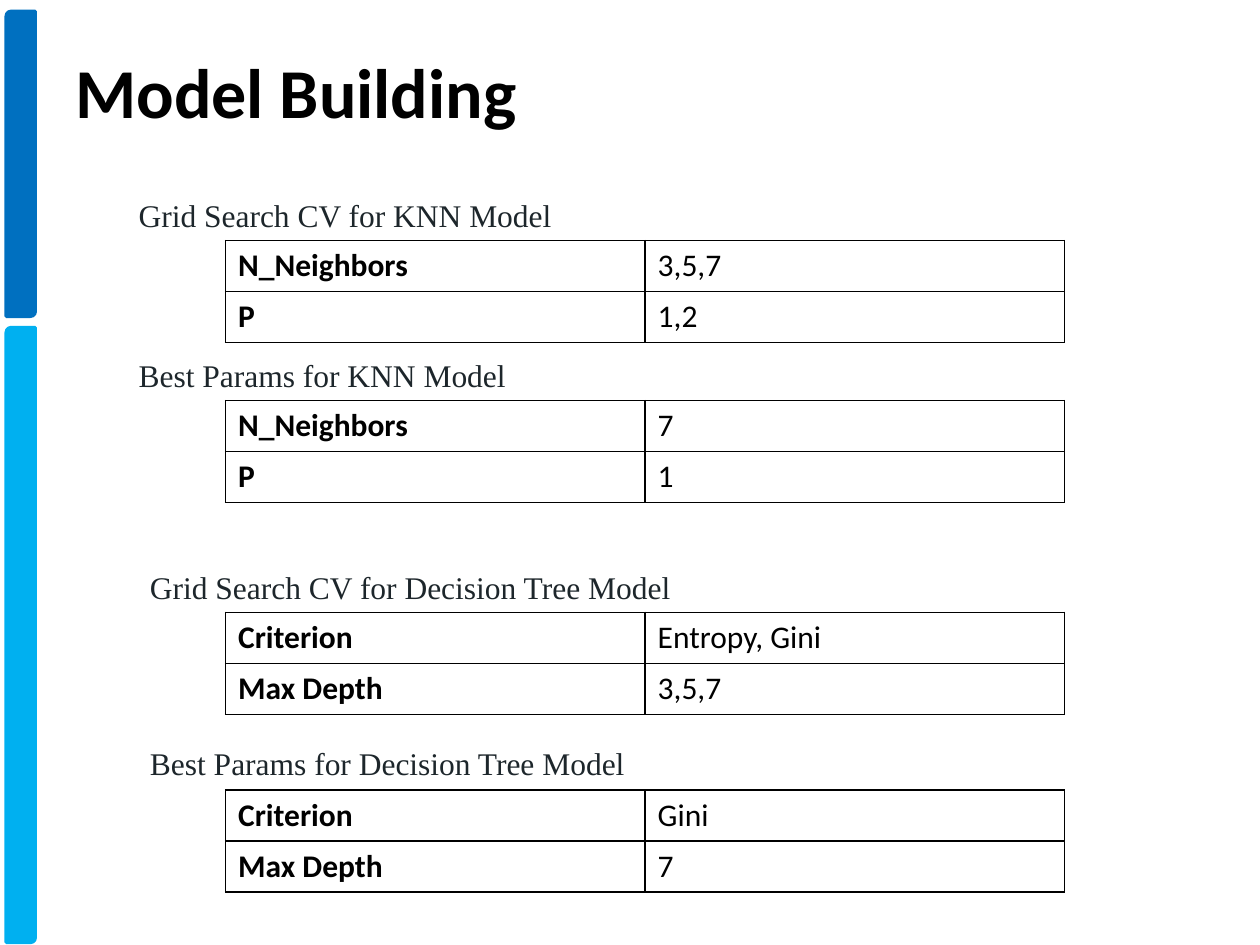
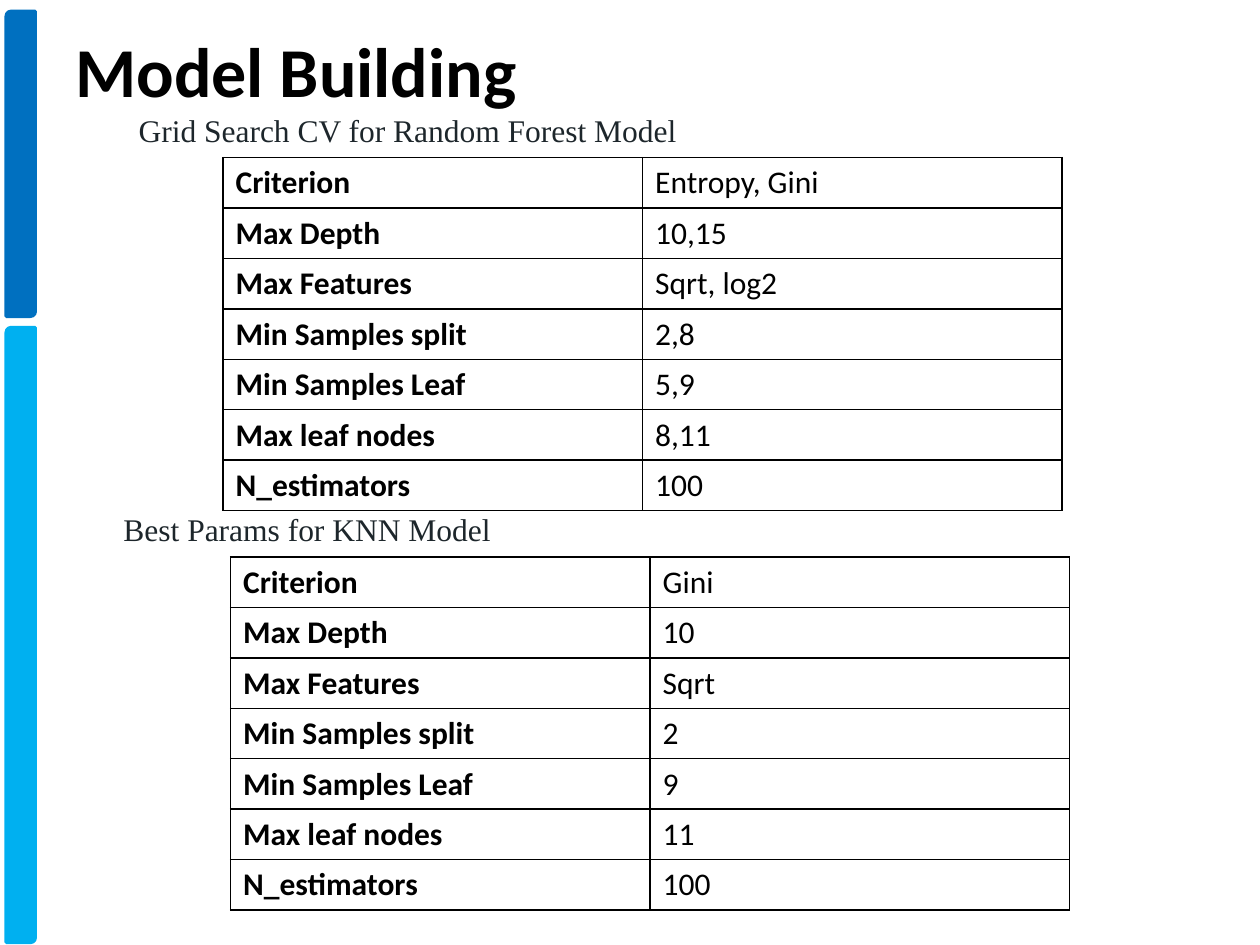
from lxml.etree import SubElement
from pptx import Presentation
from pptx.dml.color import RGBColor
from pptx.enum.shapes import MSO_SHAPE
from pptx.enum.text import MSO_ANCHOR, PP_ALIGN
from pptx.oxml.ns import qn
from pptx.util import Inches, Pt

BLACK, CAPTION_INK = "000000", "1D262B"
HEADING = "Model Building"
BANDS = [("0070C0", 0.09, 2.42), ("00B0F0", 2.6, 4.88)]  # colour, top, height
COLUMN_WIDTH = 3.33

FOREST_PARAMS = ["Criterion", "Max Depth", "Max Features", "Min Samples split",
                 "Min Samples Leaf", "Max leaf nodes", "N_estimators"]
KNN_PARAMS = ["N_Neighbors", "P"]
TREE_PARAMS = ["Criterion", "Max Depth"]

# Each section: caption, caption (left, top), table (left, top), parameters, values
SLIDES = [
    {"title_top": 0.33, "row_height": 0.405, "sections": [
        ("Grid Search CV for KNN Model", (0.5, 1.51), (1.79, 1.91),
         KNN_PARAMS, ["3,5,7", "1,2"]),
        ("Best Params for KNN Model", (0.5, 2.78), (1.79, 3.18),
         KNN_PARAMS, ["7", "1"]),
        ("Grid Search CV for Decision Tree Model", (0.59, 4.46), (1.79, 4.86),
         TREE_PARAMS, ["Entropy, Gini", "3,5,7"]),
        ("Best Params for Decision Tree Model", (0.59, 5.86), (1.79, 6.27),
         TREE_PARAMS, ["Gini", "7"]),
    ]},
    {"title_top": 0.17, "row_height": 0.4, "sections": [
        ("Grid Search CV for Random Forest Model", (0.5, 0.83), (1.77, 1.25),
         FOREST_PARAMS, ["Entropy, Gini", "10,15", "Sqrt, log2", "2,8", "5,9", "8,11", "100"]),
        ("Best Params for KNN Model", (0.38, 4), (1.83, 4.42),
         FOREST_PARAMS, ["Gini", "10", "Sqrt", "2", "9", "11", "100"]),
    ]},
]


def rgb(value):
    return RGBColor.from_string(value)


def style(paragraph, size, name, color, bold=False):
    font = paragraph.font
    font.size, font.name, font.bold = Pt(size), name, bold
    font.color.rgb = rgb(color)


def add_bands(slide):
    for color, top, height in BANDS:
        band = slide.shapes.add_shape(MSO_SHAPE.ROUND_2_DIAG_RECTANGLE, Inches(0.05),
                                      Inches(top), Inches(0.23), Inches(height))
        band.shadow.inherit = False
        band.fill.solid()
        band.fill.fore_color.rgb = band.line.color.rgb = rgb(color)
        band.line.width = Pt(2)


def set_title(slide, top):
    title = slide.shapes.title
    title.left, title.top = Inches(0.5), Inches(top)
    title.width, title.height = Inches(9.34), Inches(0.77)
    title.text_frame.text = HEADING
    title.text_frame.vertical_anchor = MSO_ANCHOR.MIDDLE
    paragraph = title.text_frame.paragraphs[0]
    paragraph.alignment = PP_ALIGN.LEFT
    style(paragraph, 40, "Calibri", BLACK, bold=True)


def add_caption(slide, text, left, top):
    frame = slide.shapes.add_textbox(Inches(left), Inches(top),
                                     Inches(9.25), Inches(0.4)).text_frame
    frame.word_wrap = True
    frame.margin_left = Inches(0.6)
    frame.text = text
    style(frame.paragraphs[0], 18, "Times New Roman", CAPTION_INK)


def add_borders(cell):
    """Draw a one-point black line on all four sides; must precede the cell's fill."""
    properties = cell._tc.get_or_add_tcPr()
    for side in ("a:lnL", "a:lnR", "a:lnT", "a:lnB"):
        line = SubElement(properties, qn(side), w=str(Pt(1)))
        SubElement(SubElement(line, qn("a:solidFill")), qn("a:srgbClr"), val=BLACK)


def add_params_table(slide, left, top, row_height, rows):
    table = slide.shapes.add_table(len(rows), 2, Inches(left), Inches(top),
                                   Inches(2 * COLUMN_WIDTH),
                                   Inches(row_height * len(rows))).table
    table.first_row = table.horz_banding = False
    for column in table.columns:
        column.width = Inches(COLUMN_WIDTH)
    for row, texts in zip(table.rows, rows):
        row.height = Inches(row_height)
        for index, (cell, text) in enumerate(zip(row.cells, texts)):
            cell.text = text
            style(cell.text_frame.paragraphs[0], 18, "Calibri", BLACK, bold=index == 0)
            add_borders(cell)
            cell.fill.background()


def main():
    deck = Presentation()
    deck.slide_width, deck.slide_height = Inches(10), Inches(7.5)
    title_only = deck.slide_layouts[5]
    for content in SLIDES:
        slide = deck.slides.add_slide(title_only)
        add_bands(slide)
        set_title(slide, content["title_top"])
        for caption, caption_at, table_at, params, values in content["sections"]:
            add_caption(slide, caption, *caption_at)
            add_params_table(slide, *table_at, content["row_height"],
                             list(zip(params, values)))
    deck.save("out.pptx")


if __name__ == "__main__":
    main()
